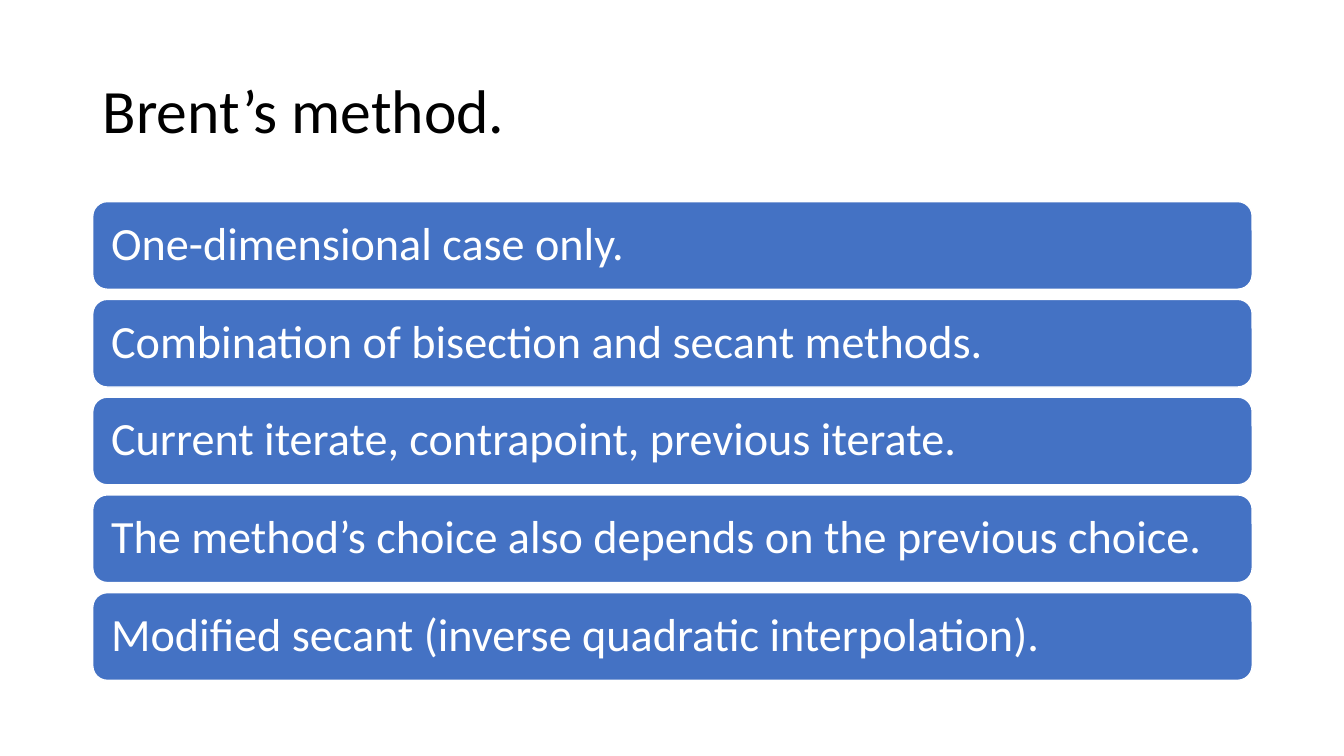
from dataclasses import dataclass

from pptx import Presentation
from pptx.dml.color import RGBColor
from pptx.enum.shapes import MSO_SHAPE as Preset
from pptx.enum.text import MSO_ANCHOR as Anchor, PP_ALIGN as Align
from pptx.slide import Slide
from pptx.text.text import TextFrame
from pptx.util import Inches, Pt


@dataclass(frozen=True)
class Theme:
    font: str = "Calibri"
    title_size: int = 44
    point_size: int = 33
    ink: RGBColor = RGBColor(0x00, 0x00, 0x00)
    paper: RGBColor = RGBColor(0xFF, 0xFF, 0xFF)
    bar: RGBColor = RGBColor(0x44, 0x72, 0xC4)


@dataclass(frozen=True)
class Grid:
    """One column of equal rows, in inches."""
    left: float = 0.92
    width: float = 11.5
    top: float = 2.0
    row_height: float = 0.87
    gap: float = 0.1

    def row_top(self, row: int) -> float:
        return self.top + row * (self.row_height + self.gap)


@dataclass(frozen=True)
class Point:
    row: int
    text: str


THEME = Theme()
GRID = Grid()
TITLE_TOP, TITLE_HEIGHT = 0.4, 1.45
BAR_INSET = 0.14

POINTS = [Point(row, text) for row, text in enumerate((
    "One-dimensional case only.",
    "Combination of bisection and secant methods.",
    "Current iterate, contrapoint, previous iterate.",
    "The method’s choice also depends on the previous choice.",
    "Modified secant (inverse quadratic interpolation).",
))]


def write(frame: TextFrame, text: str, size: int, color: RGBColor) -> None:
    frame.word_wrap = True
    frame.vertical_anchor = Anchor.MIDDLE
    paragraph = frame.paragraphs[0]
    paragraph.alignment = Align.LEFT
    paragraph.line_spacing = 0.9
    run = paragraph.add_run()
    run.text = text
    run.font.name = THEME.font
    run.font.size = Pt(size)
    run.font.color.rgb = color


def draw_title(slide: Slide, text: str) -> None:
    title = slide.shapes.add_textbox(
        Inches(GRID.left), Inches(TITLE_TOP), Inches(GRID.width), Inches(TITLE_HEIGHT))
    write(title.text_frame, text, THEME.title_size, THEME.ink)


def draw_point(slide: Slide, point: Point) -> None:
    bar = slide.shapes.add_shape(
        Preset.ROUNDED_RECTANGLE, Inches(GRID.left), Inches(GRID.row_top(point.row)),
        Inches(GRID.width), Inches(GRID.row_height))
    bar.shadow.inherit = False
    bar.fill.solid()
    bar.fill.fore_color.rgb = THEME.bar
    bar.line.color.rgb = THEME.paper
    bar.line.width = Pt(1)
    frame = bar.text_frame
    frame.margin_left = frame.margin_right = Inches(BAR_INSET)
    frame.margin_top = frame.margin_bottom = Inches(BAR_INSET)
    write(frame, point.text, THEME.point_size, THEME.paper)


def main() -> None:
    deck = Presentation()
    deck.slide_width, deck.slide_height = Inches(13.33), Inches(7.5)
    slide = deck.slides.add_slide(deck.slide_layouts[6])
    draw_title(slide, "Brent’s method.")
    for point in POINTS:
        draw_point(slide, point)
    deck.save("out.pptx")


if __name__ == "__main__":
    main()
